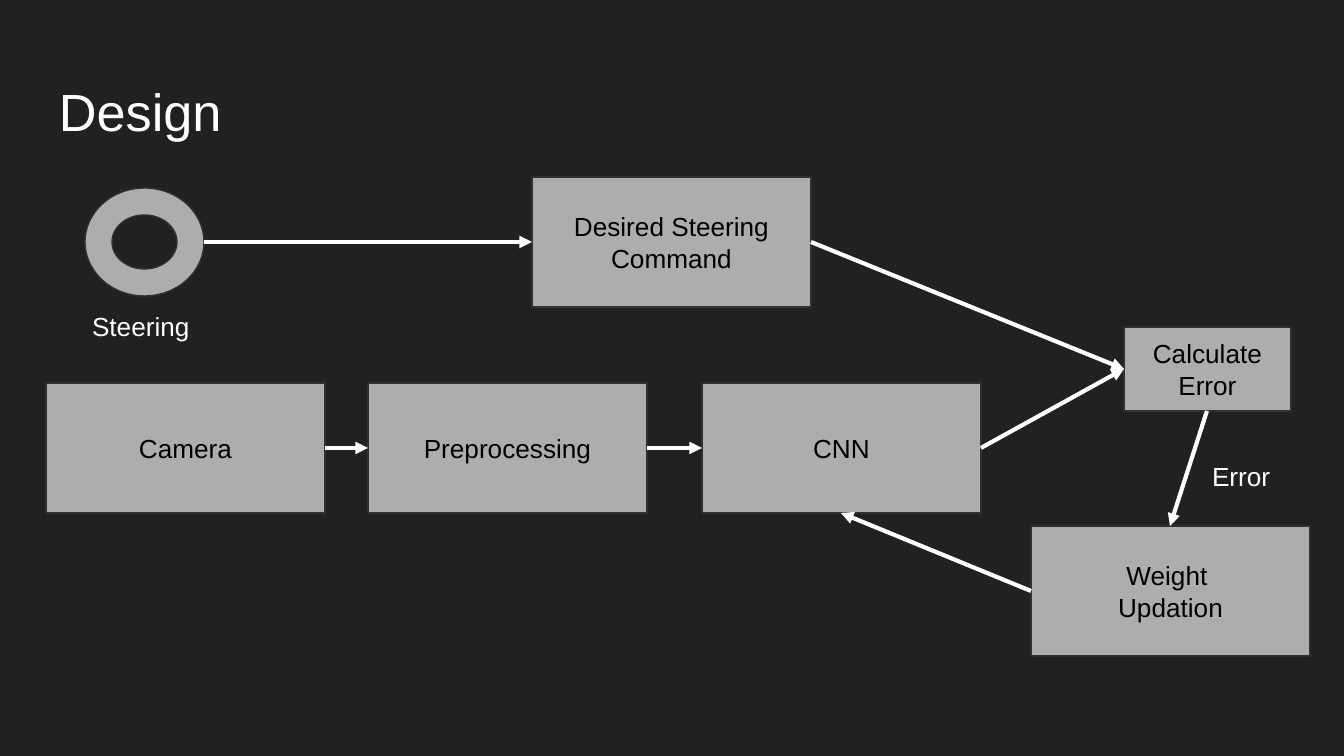
import dataclasses
import typing

import pptx
import pptx.dml.color
import pptx.enum.shapes
import pptx.enum.text
import pptx.oxml
import pptx.oxml.ns
import pptx.util

EMU_PER_PX = 914400 / 134.4
FONT = "Arial"
BACKGROUND = "212121"
FILL = "ADADAD"
OUTLINE = "303030"
WHITE = "FFFFFF"
BLACK = "000000"
INSET = 13

SHAPES = pptx.enum.shapes.MSO_SHAPE
ALIGN = pptx.enum.text.PP_ALIGN
ANCHOR = pptx.enum.text.MSO_ANCHOR


@dataclasses.dataclass(frozen=True)
class Box:
    left: int
    top: int
    width: int = 279
    height: int = 130
    lines: tuple[str, ...] = ()
    kind: SHAPES = SHAPES.RECTANGLE

    def side(self, name: str) -> tuple[int, int]:
        """Middle of the named side, in px."""
        middle_x = self.left + self.width // 2
        middle_y = self.top + self.height // 2
        return {
            "top": (middle_x, self.top),
            "left": (self.left, middle_y),
            "bottom": (middle_x, self.top + self.height),
            "right": (self.left + self.width, middle_y),
        }[name]


@dataclasses.dataclass(frozen=True)
class Arrow:
    start: Box
    start_side: str
    end: Box
    end_side: str


@dataclasses.dataclass(frozen=True)
class Label:
    left: int
    top: int
    width: int
    height: int
    text: str
    size: int = 14


ROW_TOP = 383
WHEEL = Box(85, 188, 119, 108, kind=SHAPES.DONUT)
COMMAND = Box(532, 177, lines=("Desired Steering", "Command"))
CAMERA = Box(46, ROW_TOP, lines=("Camera",))
PREPROCESSING = Box(368, ROW_TOP, lines=("Preprocessing",))
CNN = Box(702, ROW_TOP, lines=("CNN",))
WEIGHTS = Box(1031, 526, lines=("Weight ", "Updation"))
ERROR = Box(1124, 327, 167, 84, ("Calculate", "Error"))
BOXES = (WHEEL, COMMAND, CAMERA, PREPROCESSING, WEIGHTS, CNN, ERROR)

ARROWS = (
    Arrow(WHEEL, "right", COMMAND, "left"),
    Arrow(COMMAND, "right", ERROR, "left"),
    Arrow(ERROR, "bottom", WEIGHTS, "top"),
    Arrow(WEIGHTS, "left", CNN, "bottom"),
    Arrow(CAMERA, "right", PREPROCESSING, "left"),
    Arrow(PREPROCESSING, "right", CNN, "left"),
    Arrow(CNN, "right", ERROR, "left"),
)

LABELS = (
    Label(46, 66, 1252, 84, "Design", 28),
    Label(79, 297, 130, 30, "Steering"),
    Label(1199, 447, 99, 30, "Error"),
)


def px(*lengths: int) -> list[pptx.util.Emu]:
    return [pptx.util.Emu(round(length * EMU_PER_PX)) for length in lengths]


def color(value: str) -> pptx.dml.color.RGBColor:
    return pptx.dml.color.RGBColor.from_string(value)


def write(shape: typing.Any, lines: tuple[str, ...], size: int, text_color: str,
          alignment: ALIGN, anchor: ANCHOR) -> None:
    frame = shape.text_frame
    frame.word_wrap = True
    frame.vertical_anchor = anchor
    (frame.margin_left, frame.margin_top,
     frame.margin_right, frame.margin_bottom) = px(INSET, INSET, INSET, INSET)
    for index, line in enumerate(lines):
        paragraph = frame.add_paragraph() if index else frame.paragraphs[0]
        paragraph.alignment = alignment
        run = paragraph.add_run()
        run.text = line
        run.font.name = FONT
        run.font.size = pptx.util.Pt(size)
        run.font.color.rgb = color(text_color)


def draw_box(slide: typing.Any, box: Box) -> None:
    shape = slide.shapes.add_shape(
        box.kind, *px(box.left, box.top, box.width, box.height))
    shape.shadow.inherit = False
    shape.fill.solid()
    shape.fill.fore_color.rgb = color(FILL)
    shape.line.color.rgb = color(OUTLINE)
    shape.line.width = pptx.util.Pt(0.75)
    if box.lines:
        write(shape, box.lines, 14, BLACK, ALIGN.CENTER, ANCHOR.MIDDLE)


def draw_arrow(slide: typing.Any, arrow: Arrow) -> None:
    connector = slide.shapes.add_connector(
        pptx.enum.shapes.MSO_CONNECTOR.STRAIGHT,
        *px(*arrow.start.side(arrow.start_side), *arrow.end.side(arrow.end_side)))
    connector.line.color.rgb = color(WHITE)
    connector.line.width = pptx.util.Pt(2.25)
    properties = connector.element.spPr
    line = properties.find(pptx.oxml.ns.qn("a:ln"))
    namespace = pptx.oxml.ns.nsdecls("a")
    line.append(pptx.oxml.parse_xml(f'<a:tailEnd {namespace} type="triangle"/>'))
    properties.append(pptx.oxml.parse_xml(f"<a:effectLst {namespace}/>"))


def draw_label(slide: typing.Any, label: Label) -> None:
    shape = slide.shapes.add_textbox(
        *px(label.left, label.top, label.width, label.height))
    write(shape, (label.text,), label.size, WHITE, ALIGN.LEFT, ANCHOR.TOP)


def main() -> None:
    presentation = pptx.Presentation()
    presentation.slide_width, presentation.slide_height = px(1344, 756)
    slide = presentation.slides.add_slide(presentation.slide_layouts[6])
    slide.background.fill.solid()
    slide.background.fill.fore_color.rgb = color(BACKGROUND)
    for box in BOXES:
        draw_box(slide, box)
    for arrow in ARROWS:
        draw_arrow(slide, arrow)
    for label in LABELS:
        draw_label(slide, label)
    presentation.save("out.pptx")


if __name__ == "__main__":
    main()
